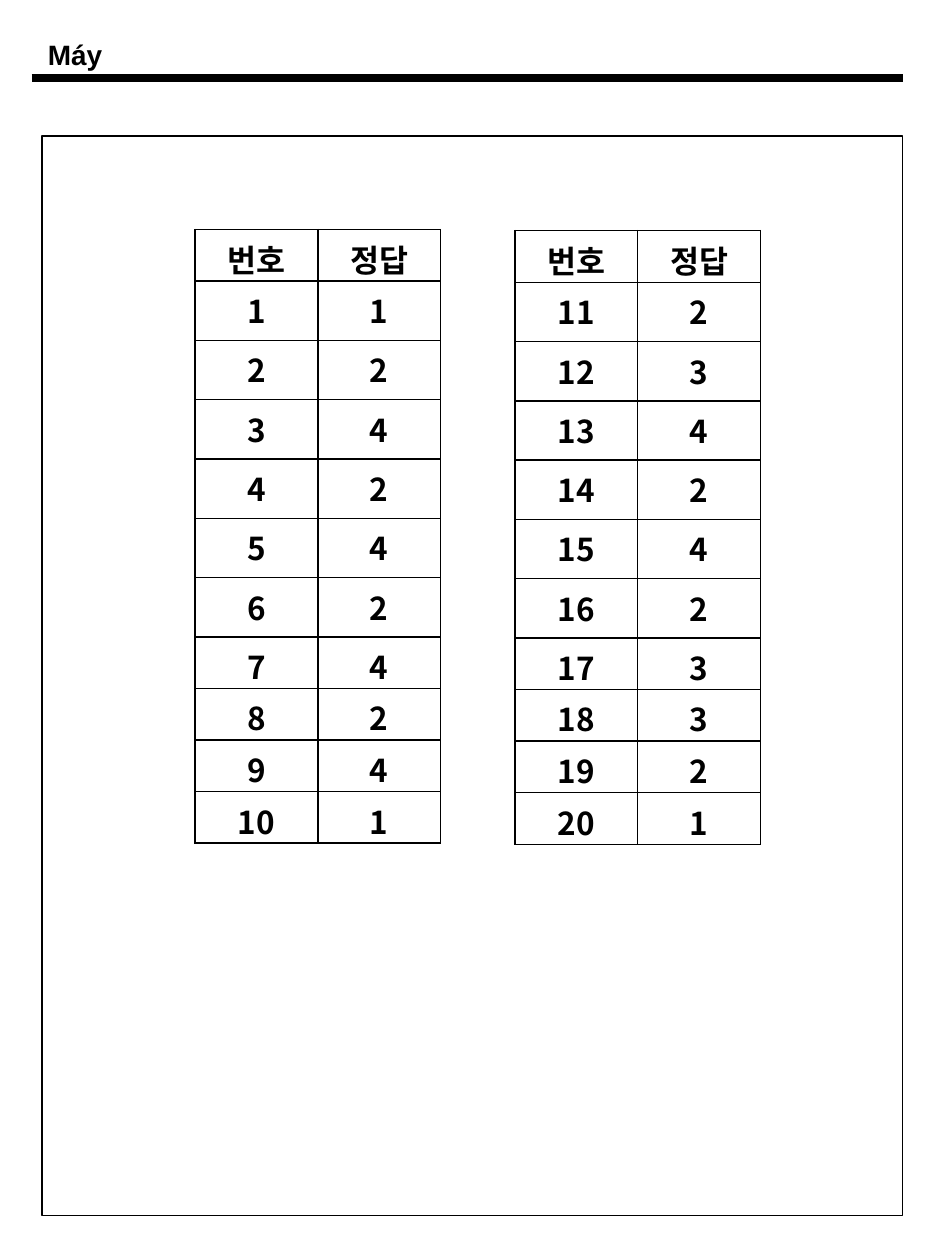
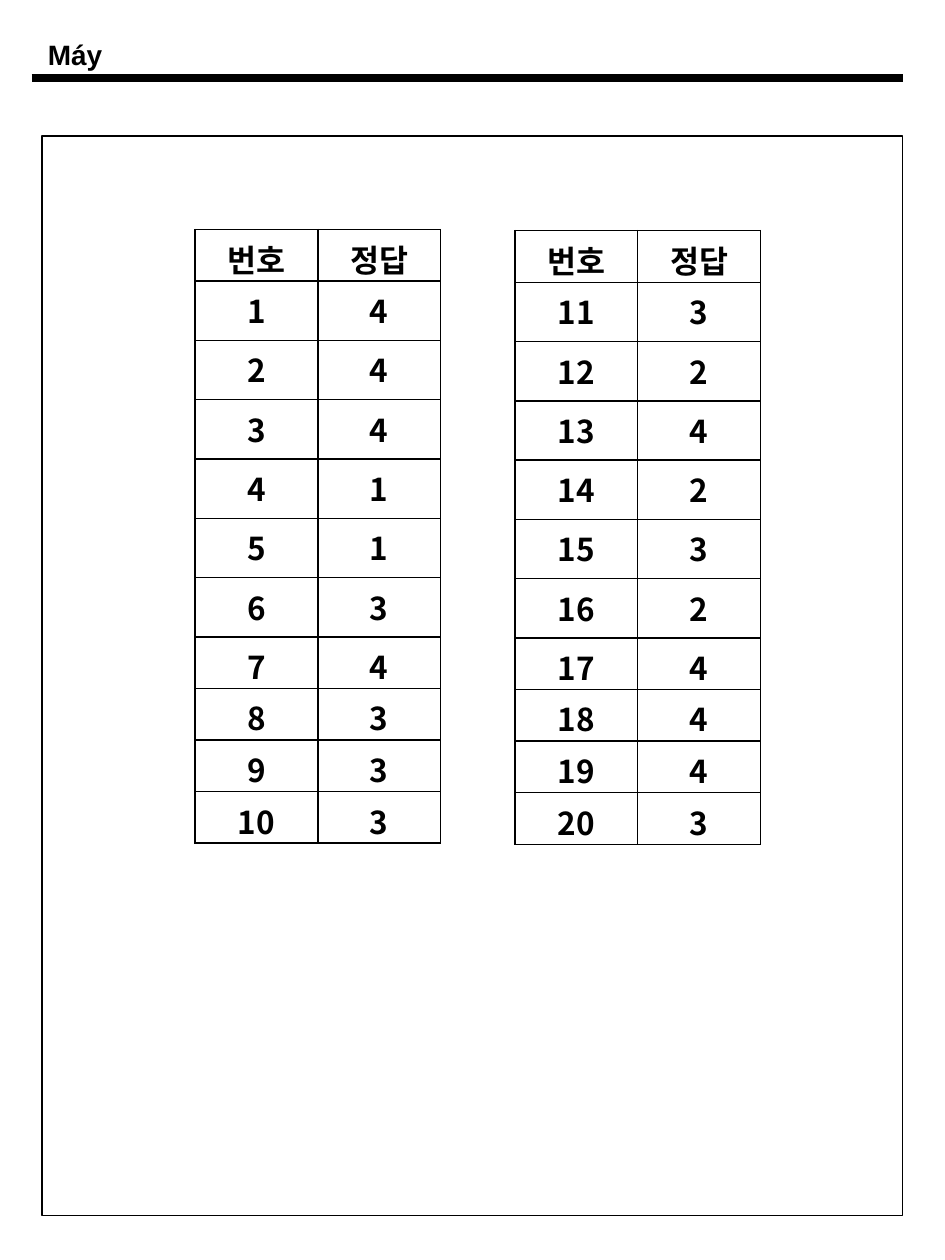
from collections import namedtuple

from lxml.etree import SubElement
from pptx import Presentation
from pptx.dml.color import RGBColor
from pptx.enum.shapes import MSO_CONNECTOR, MSO_SHAPE
from pptx.enum.text import MSO_ANCHOR, MSO_AUTO_SIZE, PP_ALIGN
from pptx.oxml.ns import qn
from pptx.util import Pt

COLORS = {"ink": "000000", "paper": "FFFFFF"}
TITLE_FONT = "Arial"
TABLE_FONT = "Noto Sans CJK KR"
HEADINGS = ("번호", "정답")
SHORT_ROW, TALL_ROW = 29.5, 33.9
ROW_HEIGHTS = [SHORT_ROW] + [TALL_ROW] * 6 + [SHORT_ROW] * 4
ANSWERS_PER_TABLE = 10

Box = namedtuple("Box", "left top width height")
TITLE_BOX = Box(20.2, 18, 46.1, 26.6)
FRAME_BOX = Box(24, 77.8, 491.8, 617)
TABLE_WIDTH = 140.4
TABLE_BOXES = [
    Box(111.4, 131.2, TABLE_WIDTH, sum(ROW_HEIGHTS)),
    Box(294.2, 131.8, TABLE_WIDTH, sum(ROW_HEIGHTS)),
]
ANSWER_KEYS = ["12424242412342423321", "44411343333242324443"]


def color(name):
    """Return the named palette colour."""
    return RGBColor.from_string(COLORS[name])


def in_points(box):
    """Return the four measures of a box as lengths."""
    return [Pt(measure) for measure in box]


def write(frame, text, font, size, align=PP_ALIGN.LEFT):
    """Write one bold paragraph into a text frame."""
    para = frame.paragraphs[0]
    para.alignment = align
    span = para.add_run()
    span.text = text
    span.font.size = Pt(size)
    span.font.bold = True
    span.font.color.rgb = color("ink")
    span.font.name = font
    east_asian = SubElement(span.font._element, qn("a:ea"))
    east_asian.set("typeface", font)


def add_title(page, text, box):
    """Place the page title and the heavy rule below it."""
    title = page.shapes.title
    title.left, title.top, title.width, title.height = in_points(box)
    frame = title.text_frame
    frame.word_wrap = False
    frame.auto_size = MSO_AUTO_SIZE.SHAPE_TO_FIT_TEXT
    frame.vertical_anchor = MSO_ANCHOR.TOP
    write(frame, text, TITLE_FONT, 16)
    rule_top = Pt(box.top + box.height - 0.2)
    rule = page.shapes.add_connector(
        MSO_CONNECTOR.STRAIGHT, Pt(box.left - 2.2), rule_top, Pt(516), rule_top
    )
    rule.line.color.rgb = color("ink")
    rule.line.width = Pt(4.5)
    SubElement(rule._element.spPr, qn("a:effectLst"))


def add_frame(page, box):
    """Draw the thin outline around the answer area."""
    outline = page.shapes.add_shape(MSO_SHAPE.RECTANGLE, *in_points(box))
    outline.shadow.inherit = False
    outline.fill.background()
    outline.line.color.rgb = color("ink")
    outline.line.width = Pt(0.75)


def add_borders(cell):
    """Give a cell a one-point line on every side."""
    properties = cell._tc.get_or_add_tcPr()
    for index, side in enumerate(("lnL", "lnR", "lnT", "lnB")):
        line = SubElement(properties, qn(f"a:{side}"), w=str(Pt(1)))
        fill = SubElement(line, qn("a:solidFill"))
        SubElement(fill, qn("a:srgbClr"), val=COLORS["ink"])
        properties.insert(index, line)


def fill_cell(cell, text):
    """Format one table cell and write its text."""
    cell.fill.solid()
    cell.fill.fore_color.rgb = color("paper")
    add_borders(cell)
    cell.margin_top, cell.margin_bottom = Pt(3.4), Pt(0)
    cell.vertical_anchor = MSO_ANCHOR.TOP
    write(cell.text_frame, text, TABLE_FONT, 18, PP_ALIGN.CENTER)


def add_answer_table(page, box, first_number, answers):
    """Build a table of question numbers and their answers."""
    rows = [HEADINGS]
    rows += [(str(number), answer) for number, answer in enumerate(answers, first_number)]
    table = page.shapes.add_table(len(rows), len(HEADINGS), *in_points(box)).table
    table.first_row = table.horz_banding = False
    for column in table.columns:
        column.width = Pt(box.width / len(HEADINGS))
    for row, height, texts in zip(table.rows, ROW_HEIGHTS, rows):
        row.height = Pt(height)
        for cell, text in zip(row.cells, texts):
            fill_cell(cell, text)


def add_answer_page(deck, answers):
    """Add a page that shows one answer key in two tables."""
    page = deck.slides.add_slide(deck.slide_layouts[5])
    add_title(page, "Máy", TITLE_BOX)
    add_frame(page, FRAME_BOX)
    for index, box in enumerate(TABLE_BOXES):
        start = index * ANSWERS_PER_TABLE
        add_answer_table(page, box, start + 1, answers[start:start + ANSWERS_PER_TABLE])


def main():
    """Build the deck and save it."""
    deck = Presentation()
    deck.slide_width, deck.slide_height = Pt(540), Pt(720)
    for answers in ANSWER_KEYS:
        add_answer_page(deck, answers)
    deck.save("out.pptx")


if __name__ == "__main__":
    main()
